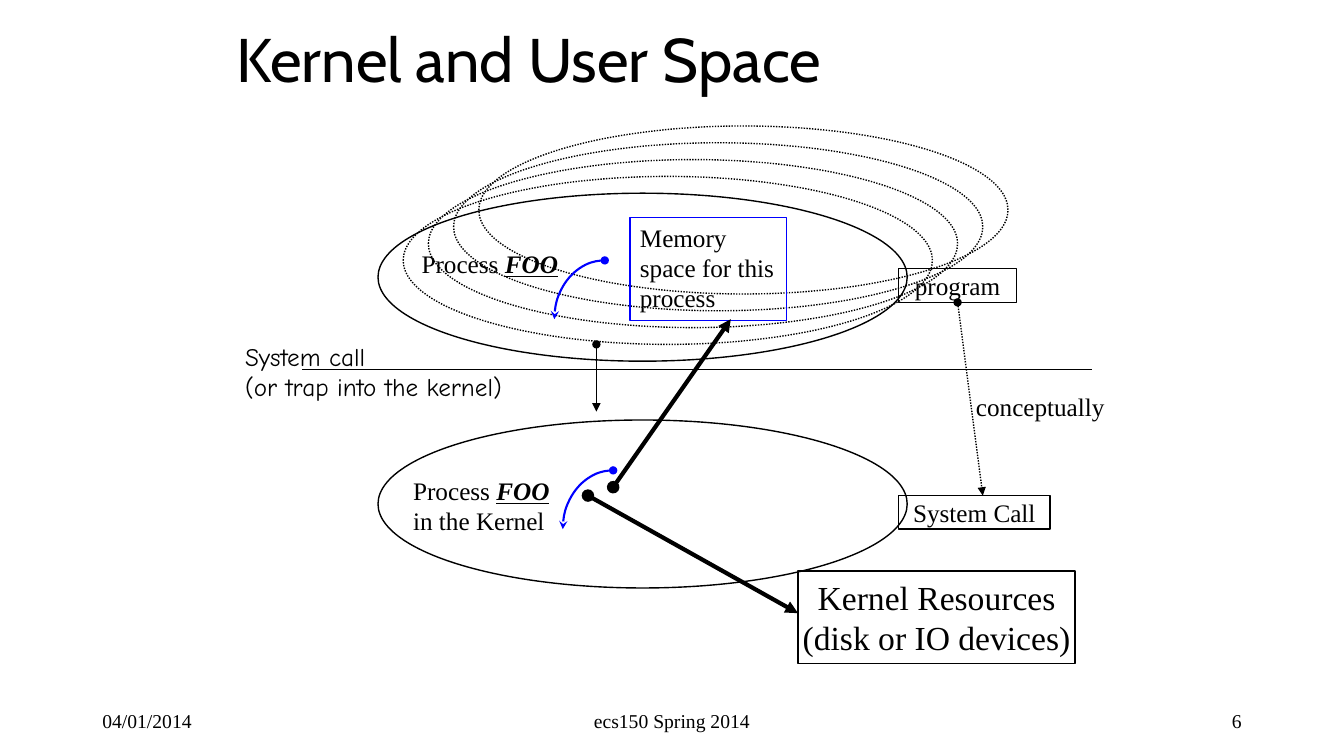
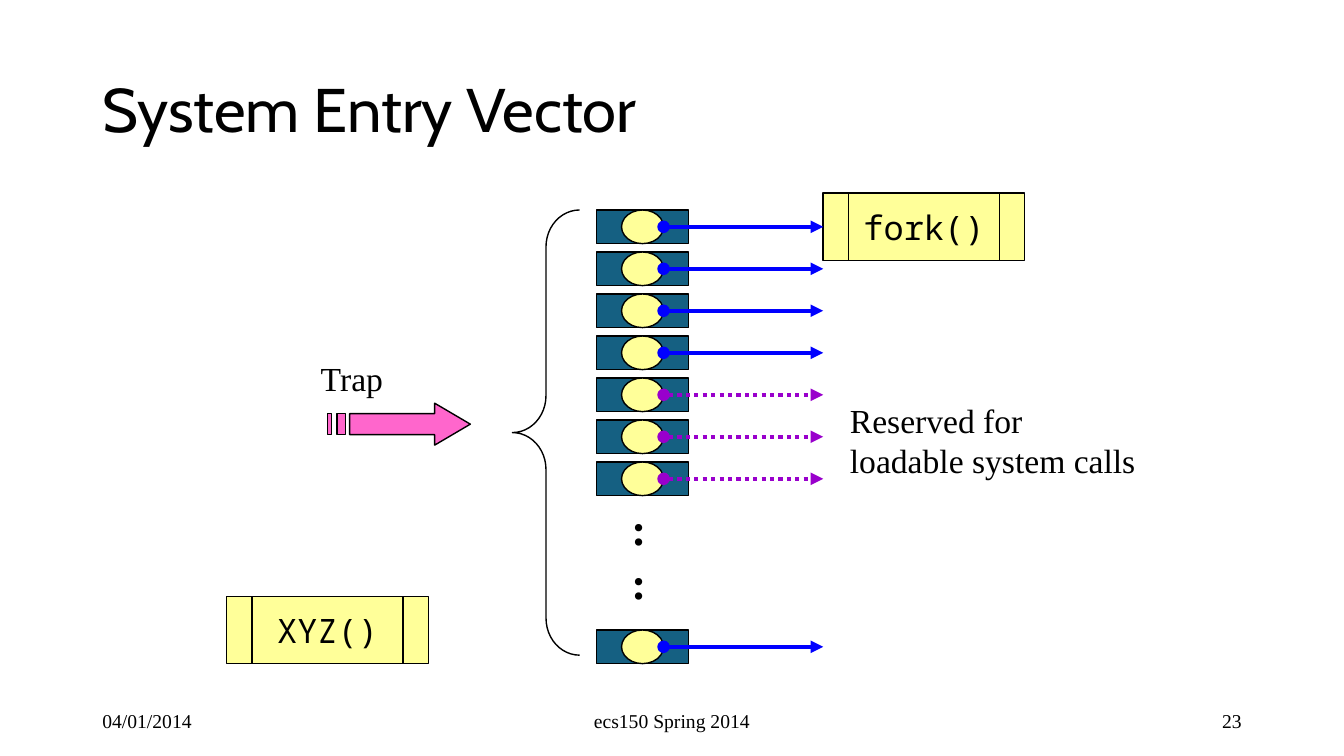
"""Build two operating system slides: kernel and user space, system entry vector."""
from lxml import etree
from pptx import Presentation
from pptx.dml.color import RGBColor
from pptx.enum.dml import MSO_LINE
from pptx.enum.shapes import MSO_CONNECTOR, MSO_SHAPE
from pptx.enum.text import MSO_ANCHOR, PP_ALIGN
from pptx.oxml.ns import qn
from pptx.util import Pt

PX = 9525
LEFT, CENTER, RIGHT = PP_ALIGN.LEFT, PP_ALIGN.CENTER, PP_ALIGN.RIGHT
TOP, MIDDLE = MSO_ANCHOR.TOP, MSO_ANCHOR.MIDDLE
DOTTED = MSO_LINE.ROUND_DOT
STRAIGHT = MSO_CONNECTOR.STRAIGHT
RECT, ELLIPSE, ARC = MSO_SHAPE.RECTANGLE, MSO_SHAPE.OVAL, MSO_SHAPE.ARC
BRACE = MSO_SHAPE.LEFT_BRACE
ROUTINE = MSO_SHAPE.FLOWCHART_PREDEFINED_PROCESS

COLORS = {
    "ink": "000000",
    "blue": "0000FF",
    "purple": "9900CC",
    "teal": "156082",
    "yellow": "FFFF99",
    "pink": "FF66CC",
}
SERIF = "Times New Roman"
FONTS = {
    "title": {"name": "Cabin", "size": Pt(44)},
    "footer": {"name": SERIF, "size": Pt(14)},
    "label": {"name": SERIF, "size": Pt(18)},
    "large": {"name": SERIF, "size": Pt(24)},
    "casual": {"name": "Comic Neue", "size": Pt(18)},
    "code": {"name": "Noto Sans Mono", "size": Pt(24)},
    "dots": {"name": SERIF, "size": Pt(32), "bold": True},
}
EMPHASIS = {"bold": True, "italic": True, "underline": True}
PROCESS_FOO = [("Process ", {}), ("FOO", EMPHASIS)]
ARROW_ENDS = ("oval", "triangle")


def px(*lengths):
    """Turn pixel lengths into EMU."""
    return [length * PX for length in lengths]


def color(name):
    """Look up a palette colour."""
    return RGBColor.from_string(COLORS[name])


def apply(target, values):
    """Set each named attribute on the target."""
    for name, value in values.items():
        setattr(target, name, value)


def write(frame, lines, font, align=LEFT, anchor=TOP, wrap=False):
    """Fill a text frame; a line is a string or a list of (text, format) pairs."""
    apply(frame, {"word_wrap": wrap, "vertical_anchor": anchor})
    for index, line in enumerate(lines):
        paragraph = frame.add_paragraph() if index else frame.paragraphs[0]
        paragraph.alignment = align
        for text, extra in [(line, {})] if isinstance(line, str) else line:
            run = paragraph.add_run()
            run.text = text
            apply(run.font, {**FONTS[font], **extra})
            run.font.color.rgb = color("ink")


def outline(item, line="ink", width=1, dash=None, ends=None):
    """Format a line and its optional head and tail arrowheads."""
    item.line.color.rgb = color(line)
    apply(item.line, {"width": Pt(width), "dash_style": dash})
    if ends:
        ln = item.element.spPr.find(qn("a:ln"))
        for tag, kind in zip(("a:headEnd", "a:tailEnd"), ends):
            etree.SubElement(ln, qn(tag), type=kind)


def paint(shape, fill):
    """Fill a shape, or leave it clear, without a shadow."""
    shape.shadow.inherit = False
    if fill:
        shape.fill.solid()
        shape.fill.fore_color.rgb = color(fill)
    else:
        shape.fill.background()


def add_box(slide, kind, box, fill=None, adjust=(), **line):
    """Add a preset shape."""
    shape = slide.shapes.add_shape(kind, *px(*box))
    for index, value in enumerate(adjust):
        shape.adjustments[index] = value
    paint(shape, fill)
    outline(shape, **line)
    return shape


def add_text(slide, box, lines, font="label", **layout):
    """Add a text box."""
    write(slide.shapes.add_textbox(*px(*box)).text_frame, lines, font, **layout)


def add_line(slide, start, end, **line):
    """Add a straight connector without a shadow."""
    connector = slide.shapes.add_connector(STRAIGHT, *px(*start, *end))
    outline(connector, **line)
    etree.SubElement(connector.element.spPr, qn("a:effectLst"))


def add_execution_arc(slide, left, top):
    """Add the blue arc that shows a running process."""
    add_box(slide, ARC, (left, top, 96, 112), adjust=(108, 162),
            line="blue", width=1.5, ends=("stealth", "oval"))


def add_routine(slide, left, top, name):
    """Add a yellow box for a kernel routine."""
    routine = add_box(slide, ROUTINE, (left, top, 192, 64), "yellow")
    write(routine.text_frame, [name], "code", CENTER, MIDDLE)


def add_vector_entry(slide, top, **arrow):
    """Add one entry of the vector with its pointer."""
    add_box(slide, RECT, (568, top, 88, 32), "teal")
    add_box(slide, ELLIPSE, (592, top, 40, 32), "yellow")
    add_line(slide, (632, top + 16), (784, top + 16),
             width=3, ends=ARROW_ENDS, **arrow)


def add_trap_arrow(slide):
    """Add the striped arrow that points at the vector."""
    outlines = [
        [(414, 384), (414, 394), (333, 394), (333, 414),
         (414, 414), (414, 424), (448, 404)],
        [(321, 394), (321, 414), (329, 414), (329, 394)],
        [(312, 394), (312, 414), (316, 414), (316, 394)],
    ]
    builder = slide.shapes.build_freeform(*outlines[0][0], scale=PX)
    for index, (start, *rest) in enumerate(outlines):
        if index:
            builder.move_to(*start)
        builder.add_line_segments(rest, close=True)
    arrow = builder.convert_to_shape()
    paint(arrow, "pink")
    outline(arrow)


def new_slide(deck, title, title_box, number):
    """Add a slide with its title and footer."""
    slide = deck.slides.add_slide(deck.slide_layouts[5])
    heading = slide.shapes.title
    apply(heading, dict(zip(("left", "top", "width", "height"), px(*title_box))))
    write(heading.text_frame, [title], "title", anchor=MIDDLE, wrap=True)
    heading.text_frame.paragraphs[0].line_spacing = 0.9
    for left, width, text, align in (
        (88, 288, "04/01/2014", LEFT),
        (424, 432, "ecs150 Spring 2014", CENTER),
        (904, 288, number, RIGHT),
    ):
        add_text(slide, (left, 667, width, 38), [text], "footer",
                 align=align, anchor=MIDDLE, wrap=True)
    return slide


def build_kernel_slide(deck):
    """Show processes in user space and in the kernel."""
    slide = new_slide(deck, "Kernel and User Space", (216, 0, 816, 120), "6")
    add_line(slide, (288, 352), (1040, 352))
    for step in range(5):
        add_box(slide, ELLIPSE, (360 + 24 * step, 184 - 16 * step, 504, 160),
                dash=DOTTED if step else None)
    add_box(slide, ELLIPSE, (360, 400, 504, 160))

    memory = add_box(slide, RECT, (600, 207, 149, 98), line="blue")
    write(memory.text_frame, ["Memory", "space for this", "process"], "label")
    for box, lines, font in (
        ((856, 256, 112, 32), ["program"], "label"),
        ((856, 472, 144, 32), ["System Call"], "label"),
        ((760, 544, 264, 88), ["Kernel Resources", "(disk or IO devices)"], "large"),
    ):
        write(add_box(slide, RECT, box).text_frame, lines, font, CENTER, MIDDLE)

    add_text(slide, (392, 232, 150, 38), [PROCESS_FOO])
    add_text(slide, (384, 448, 150, 67), [PROCESS_FOO, "in the Kernel"])
    add_text(slide, (224, 320, 289, 67),
             ["System call", "(or trap into the kernel)"], "casual")
    add_text(slide, (920, 368, 142, 38), ["conceptually"])

    add_execution_arc(slide, 528, 248)
    add_execution_arc(slide, 536, 448)
    for start, end, width, dash in (
        ((568, 328), (568, 392), 1, None),
        ((912, 288), (936, 472), 1, DOTTED),
        ((560, 472), (760, 584), 3, None),
        ((584, 464), (696, 304), 3, None),
    ):
        add_line(slide, start, end, width=width, dash=dash, ends=ARROW_ENDS)


def build_vector_slide(deck):
    """Show the table of system call entries."""
    slide = new_slide(deck, "System Entry Vector", (88, 38, 1104, 139), "23")
    add_routine(slide, 784, 184, "fork()")
    add_routine(slide, 216, 568, "XYZ()")
    for row in (0, 1, 2, 3, 4, 5, 6, 10):
        reserved = 4 <= row <= 6
        add_vector_entry(slide, 200 + 40 * row,
                         line="purple" if reserved else "blue",
                         dash=DOTTED if reserved else None)
    add_text(slide, (592, 472, 34, 112), [":", ":"], "dots")
    add_box(slide, BRACE, (488, 200, 64, 424), adjust=(0.55, 0.5))
    add_trap_arrow(slide)
    add_text(slide, (296, 336, 80, 48), ["Trap"], "large")
    add_text(slide, (800, 376, 294, 87),
             ["Reserved for", "loadable system calls"], "large")


def main():
    """Build and save the deck."""
    deck = Presentation()
    deck.slide_width, deck.slide_height = px(1280, 720)
    build_kernel_slide(deck)
    build_vector_slide(deck)
    deck.save("out.pptx")


if __name__ == "__main__":
    main()
